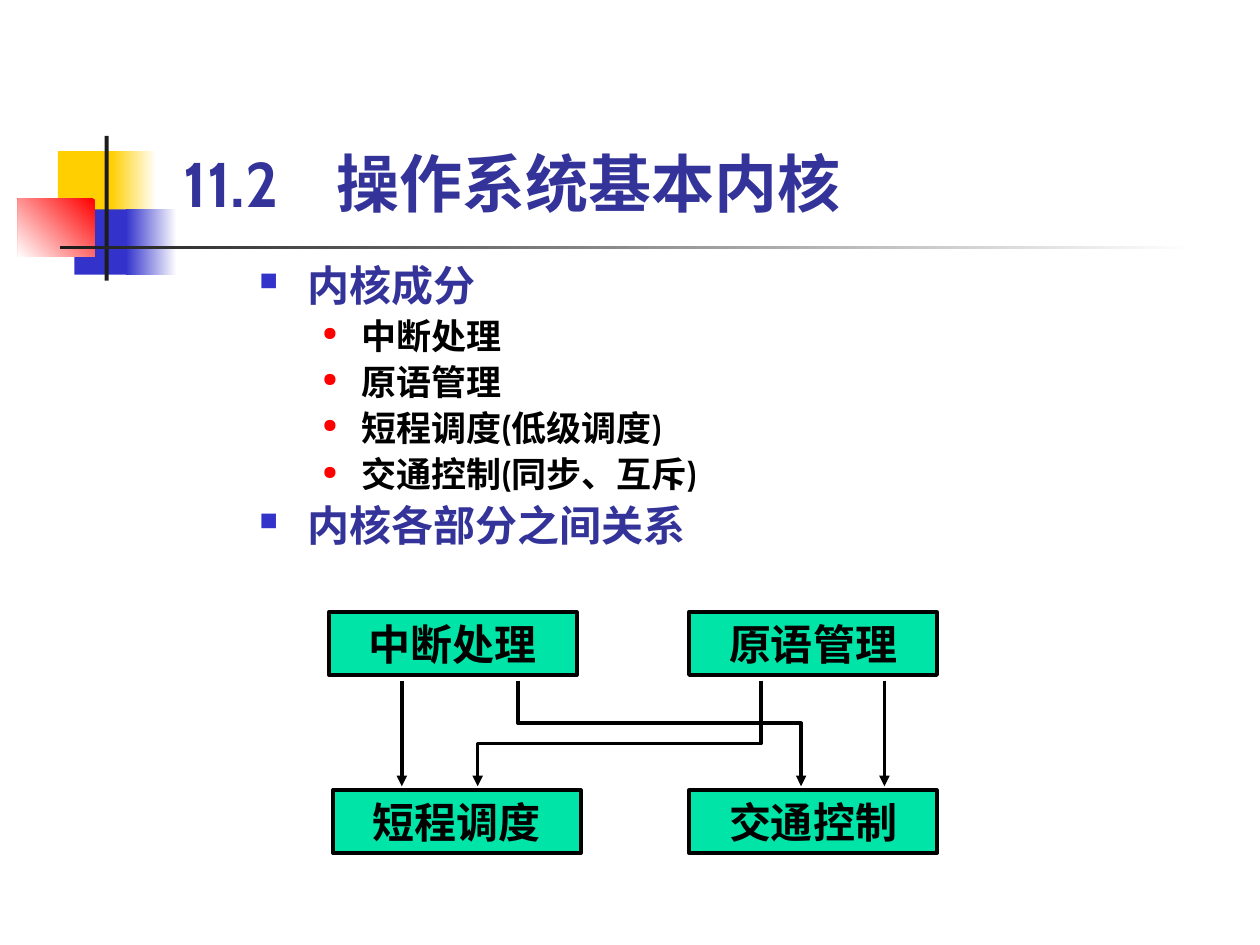
from lxml import etree
from pptx import Presentation
from pptx.dml.color import RGBColor
from pptx.enum.shapes import MSO_CONNECTOR, MSO_SHAPE
from pptx.enum.text import MSO_ANCHOR, PP_ALIGN
from pptx.oxml.ns import qn
from pptx.util import Cm, Pt

RECTANGLE = MSO_SHAPE.RECTANGLE
STRAIGHT = MSO_CONNECTOR.STRAIGHT
MIDDLE, BOTTOM = MSO_ANCHOR.MIDDLE, MSO_ANCHOR.BOTTOM
CENTER = PP_ALIGN.CENTER

COLORS = {
    "white": "FFFFFF", "black": "000000", "yellow": "FFCF01",
    "blue": "3333CC", "red": "FF0000", "charcoal": "1C1C1C",
    "heading": "333399", "green": "00E4A8",
}
RGB = {name: RGBColor.from_string(value) for name, value in COLORS.items()}


def set_font(paragraph, name, size, color):
    font = paragraph.font
    font.name, font.size, font.bold = name, Pt(size), True
    font.color.rgb = RGB[color]


def finish_arrow(arrow):
    """Black 2 pt line with a triangle at its end."""
    arrow.line.color.rgb = RGB["black"]
    arrow.line.width = Pt(2)
    line_xml = arrow._element.spPr.find(qn("a:ln"))
    etree.SubElement(line_xml, qn("a:tailEnd"), type="triangle")


deck = Presentation()
deck.slide_width, deck.slide_height = Cm(25.4), Cm(19.05)
page = deck.slides.add_slide(deck.slide_layouts[6])

# Corner ornament: left, top, width, height, colours, gradient angle
ornament = [
    (1.17, 3.05, 1.22, 1.32, ["yellow"], None),
    (2.24, 3.05, 0.91, 1.32, ["white", "yellow"], 180),
    (1.5, 4.22, 1.17, 1.32, ["blue"], None),
    (2.54, 4.22, 1.02, 1.32, ["white", "blue"], 180),
    (0.36, 4.01, 1.55, 1.17, ["red", "white"], 225),
    (2.11, 2.74, 0.08, 2.92, ["charcoal"], None),
    (1.22, 4.95, 22.86, 0.08, ["white", "charcoal"], 180),
]
for left, top, width, height, colors, angle in ornament:
    block = page.shapes.add_shape(RECTANGLE, Cm(left), Cm(top), Cm(width), Cm(height))
    block.shadow.inherit = False
    block.line.fill.background()
    if angle is None:
        block.fill.solid()
        block.fill.fore_color.rgb = RGB[colors[0]]
    else:
        block.fill.gradient()
        block.fill.gradient_angle = angle
        for stop, color in zip(block.fill.gradient_stops, colors):
            stop.color.rgb = RGB[color]

# Title and outline
title = page.shapes.add_textbox(Cm(3.71), Cm(2.92), Cm(14.6), Cm(1.52)).text_frame
outline = page.shapes.add_textbox(Cm(5.23), Cm(5.13), Cm(11.4), Cm(6.5)).text_frame
for frame in (title, outline):
    frame.word_wrap = True
    frame.margin_left = frame.margin_right = frame.margin_top = frame.margin_bottom = 0

title.vertical_anchor = BOTTOM
heading = title.paragraphs[0]
heading.text = "11.2\t操作系统基本内核"
tabs = etree.SubElement(heading._p.get_or_add_pPr(), qn("a:tabLst"))
etree.SubElement(tabs, qn("a:tab"), pos=str(Cm(3.07)), algn="l")
set_font(heading, "Cabin", 36, "heading")

# Per level: indent, hanging, bullet, bullet colour, bullet size, text size, text colour
levels = [
    (0.97, 0.97, "■", "blue", 60, 24, "heading"),
    (2.06, 0.79, "●", "red", 55, 20, "black"),
]
items = [
    (0, "内核成分"),
    (1, "中断处理"),
    (1, "原语管理"),
    (1, "短程调度(低级调度)"),
    (1, "交通控制(同步、互斥)"),
    (0, "内核各部分之间关系"),
]
for index, (level, text) in enumerate(items):
    indent, hanging, bullet, bullet_color, bullet_size, size, color = levels[level]
    para = outline.add_paragraph() if index else outline.paragraphs[0]
    para.text = text
    para.level = level
    para.line_spacing = 1.1
    properties = para._p.get_or_add_pPr()
    properties.set("marL", str(Cm(indent)))
    properties.set("indent", str(-Cm(hanging)))
    bullet_fill = etree.SubElement(properties, qn("a:buClr"))
    etree.SubElement(bullet_fill, qn("a:srgbClr"), val=COLORS[bullet_color])
    etree.SubElement(properties, qn("a:buSzPct"), val=str(bullet_size * 1000))
    etree.SubElement(properties, qn("a:buChar"), char=bullet)
    set_font(para, "Cabin", size, color)

# Kernel parts
parts = [
    ("中断处理", 6.63, 12.34), ("原语管理", 13.89, 12.34),
    ("短程调度", 6.71, 15.93), ("交通控制", 13.89, 15.93),
]
for name, left, top in parts:
    box = page.shapes.add_shape(RECTANGLE, Cm(left), Cm(top), Cm(5), Cm(1.27))
    box.shadow.inherit = False
    box.fill.solid()
    box.fill.fore_color.rgb = RGB["green"]
    box.line.color.rgb = RGB["black"]
    box.line.width = Pt(2)
    box.text_frame.vertical_anchor = MIDDLE
    para = box.text_frame.paragraphs[0]
    para.text = name
    para.alignment = CENTER
    set_font(para, "Times New Roman", 24, "black")

# Arrows from the upper row to the lower row
arrow_top, arrow_bottom = Cm(13.72), Cm(15.85)
for x in (8.1, 17.83):
    arrow = page.shapes.add_connector(STRAIGHT, Cm(x), arrow_top, Cm(x), arrow_bottom)
    finish_arrow(arrow)
    etree.SubElement(arrow._element.spPr, qn("a:effectLst"))

for start, bend, end in [(10.44, 14.58, 16.15), (15.34, 14.99, 9.63)]:
    builder = page.shapes.build_freeform(Cm(start), arrow_top)
    corners = [(Cm(start), Cm(bend)), (Cm(end), Cm(bend)), (Cm(end), arrow_bottom)]
    builder.add_line_segments(corners, close=False)
    arrow = builder.convert_to_shape()
    arrow.shadow.inherit = False
    arrow.fill.background()
    finish_arrow(arrow)

deck.save("out.pptx")
